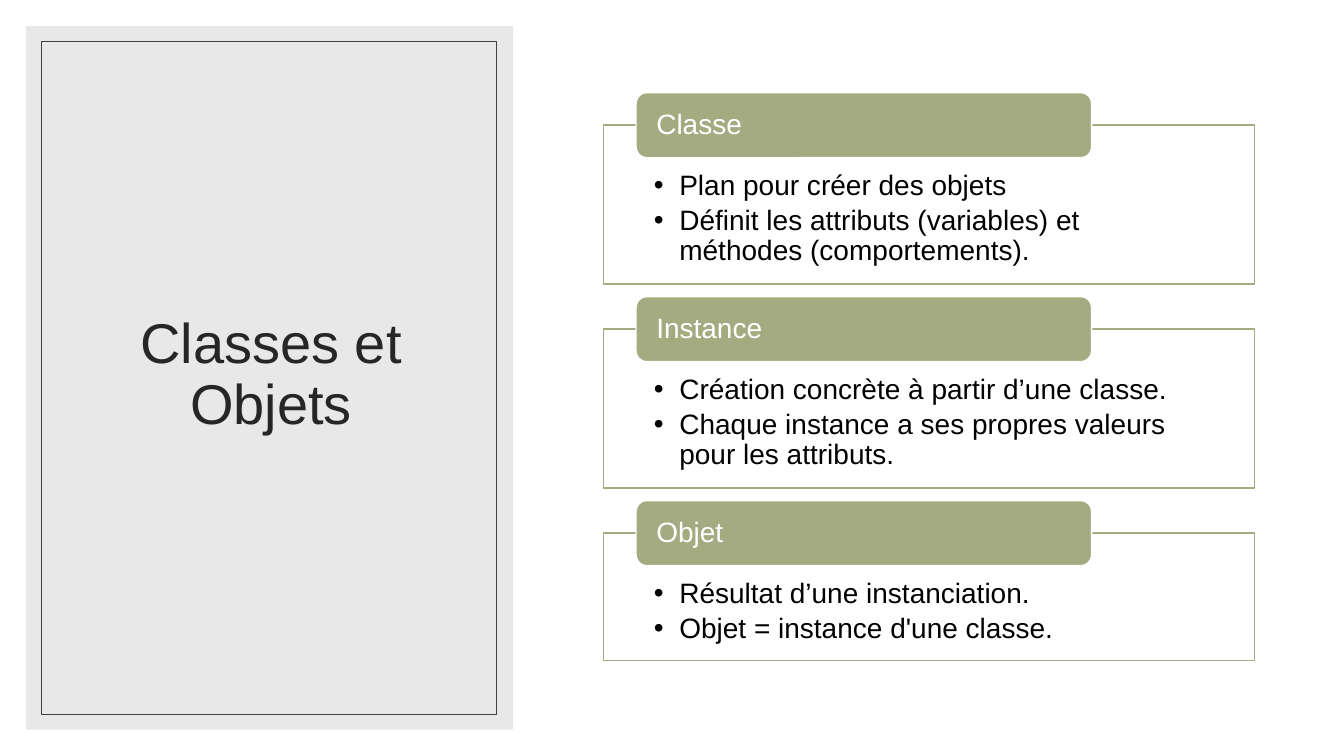
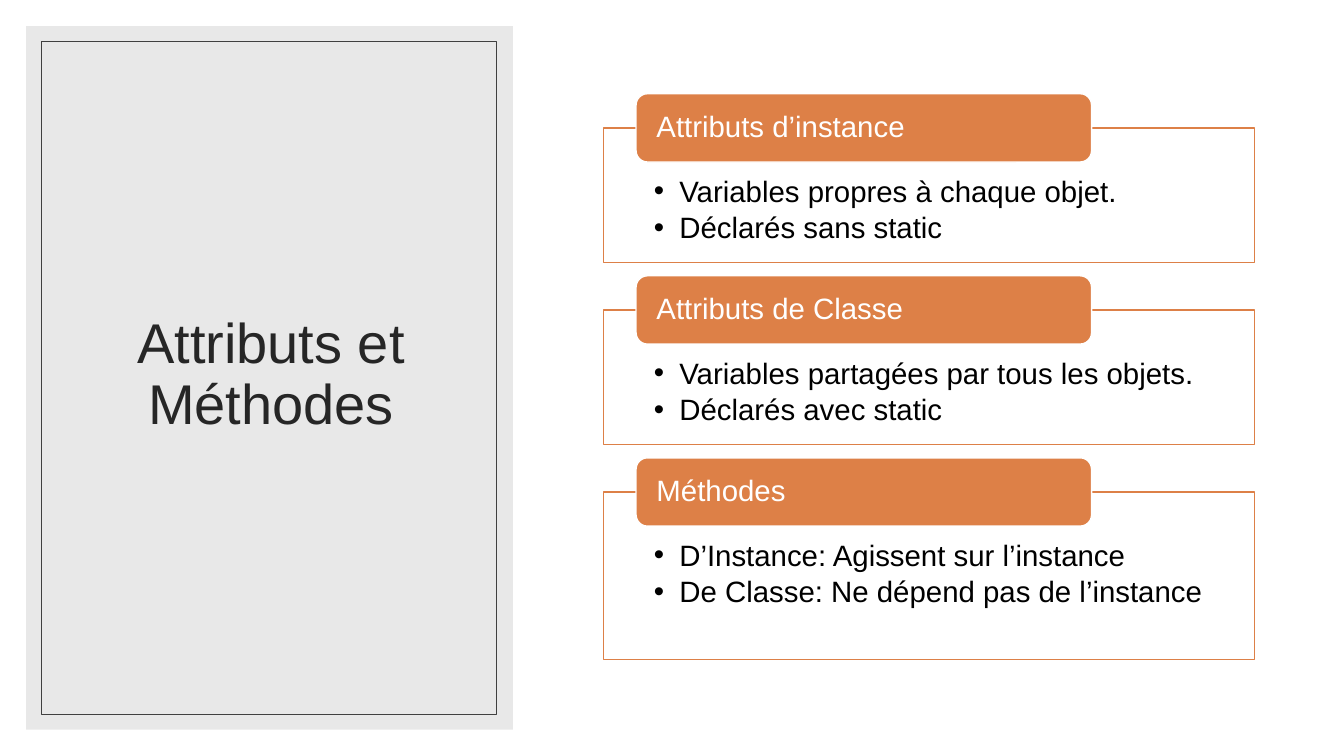
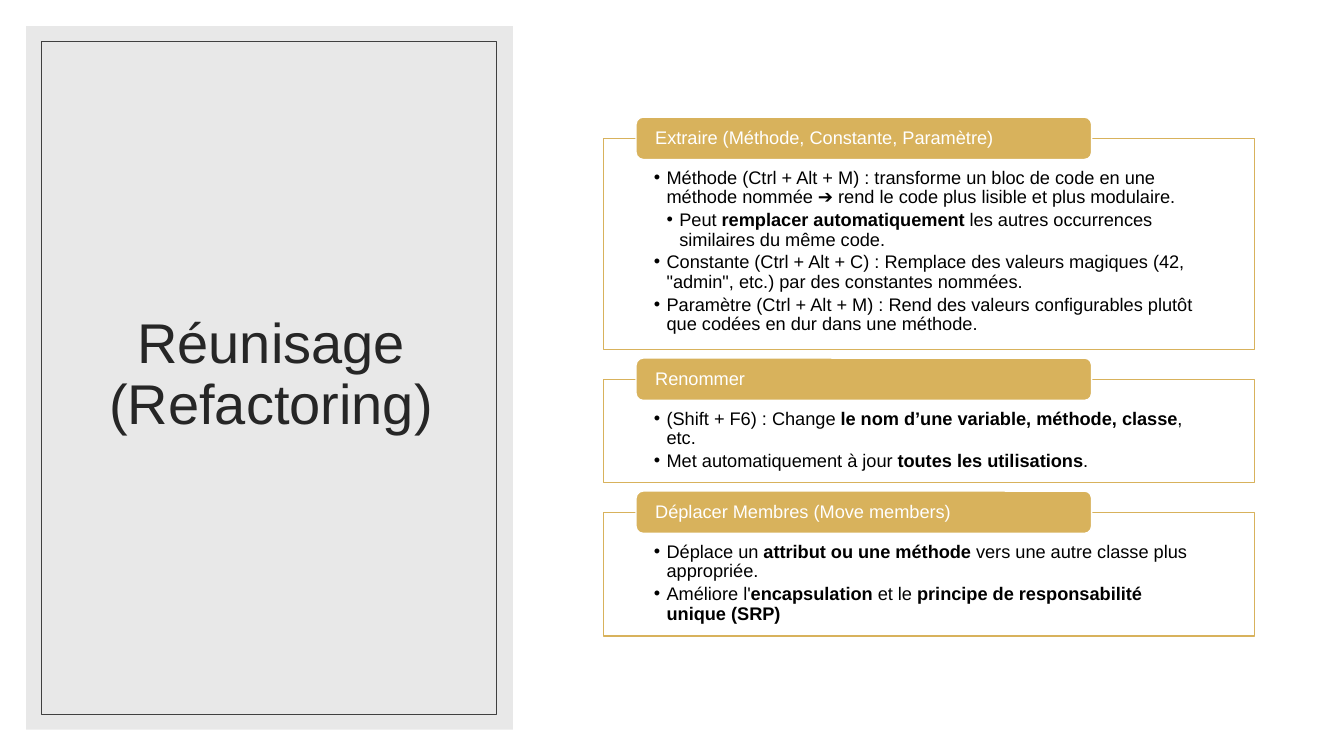
from collections import namedtuple

from lxml import etree
from pptx import Presentation
from pptx.dml.color import RGBColor
from pptx.enum.shapes import MSO_SHAPE
from pptx.enum.text import MSO_ANCHOR, PP_ALIGN
from pptx.oxml.ns import qn
from pptx.util import Cm, Pt

# Shared style
FONT = "Arial"
WHITE, BLACK = "FFFFFF", "000000"
PANEL_GREY, FRAME_GREY, TITLE_GREY = "D9D9D9", "404040", "262626"
GREEN, ORANGE, GOLD = "A5AB81", "DD8047", "D8B25C"

# Shared geometry, in centimetres
SLIDE_SIZE = 33.87, 19.05
PANEL = 0.66, 0.66, 12.27, 17.73
FRAME = 1.04, 1.04, 11.46, 16.97
TITLE = 1.6, 1.55, 10.46, 15.85
BOX_LEFT, BOX_WIDTH = 15.21, 16.41
TAB_LEFT, TAB_WIDTH = 16.03, 11.48
STACK_MIDDLE = 9.49

Bullet = namedtuple("Bullet", "text depth", defaults=[0])
Section = namedtuple("Section", "heading height bullets")
Topic = namedtuple("Topic", "title color size indent sections")

TOPICS = [
    Topic("Classes et Objets", GREEN, 20, 0.64, [
        Section("Classe", 4, [
            Bullet("Plan pour créer des objets"),
            Bullet("Définit les attributs (variables) et méthodes (comportements)."),
        ]),
        Section("Instance", 4, [
            Bullet("Création concrète à partir d’une classe."),
            Bullet("Chaque instance a ses propres valeurs pour les attributs."),
        ]),
        Section("Objet", 3.21, [
            Bullet("Résultat d’une instanciation."),
            Bullet("Objet = instance d'une classe."),
        ]),
    ]),
    Topic("Attributs et Méthodes", ORANGE, 21, 0.64, [
        Section("Attributs d’instance", 3.39, [
            Bullet("Variables propres à chaque objet."),
            Bullet("Déclarés sans static"),
        ]),
        Section("Attributs de Classe", 3.39, [
            Bullet("Variables partagées par tous les objets."),
            Bullet("Déclarés avec static"),
        ]),
        Section("Méthodes", 4.22, [
            Bullet("D’Instance: Agissent sur l’instance"),
            Bullet("De Classe: Ne dépend pas de l’instance"),
        ]),
    ]),
    Topic("Réunisage (Refactoring)", GOLD, 13, 0.32, [
        Section("Extraire (Méthode, Constante, Paramètre)", 5.33, [
            Bullet("Méthode (Ctrl + Alt + M) : transforme un bloc de code en une méthode "
                   "nommée ➔ rend le code plus lisible et plus modulaire."),
            Bullet("Peut **remplacer automatiquement** les autres occurrences "
                   "similaires du même code.", 1),
            Bullet("Constante (Ctrl + Alt + C) : Remplace des valeurs magiques "
                   "(42, \"admin\", etc.) par des constantes nommées."),
            Bullet("Paramètre (Ctrl + Alt + M) : Rend des valeurs configurables plutôt "
                   "que codées en dur dans une méthode."),
        ]),
        Section("Renommer", 2.61, [
            Bullet("(Shift + F6) : Change **le nom d’une variable, méthode, classe**, etc."),
            Bullet("Met automatiquement à jour **toutes les utilisations**."),
        ]),
        Section("Déplacer Membres (Move members)", 3.12, [
            Bullet("Déplace un **attribut ou une méthode** vers une autre classe "
                   "plus appropriée."),
            Bullet("Améliore l'**encapsulation** et le "
                   "**principe de responsabilité unique (SRP)**"),
        ]),
    ]),
]


def rgb(color):
    return RGBColor.from_string(color)


def add_box(slide, preset, place, fill=None, opacity=100, line=None, width=1):
    box = slide.shapes.add_shape(preset, *map(Cm, place))
    box.shadow.inherit = False
    if fill:
        box.fill.solid()
        box.fill.fore_color.rgb = rgb(fill)
        if opacity < 100:
            tint = box.fill._xPr.find(".//" + qn("a:srgbClr"))
            etree.SubElement(tint, qn("a:alpha"), val=str(opacity * 1000))
    else:
        box.fill.background()
    if line:
        box.line.color.rgb = rgb(line)
        box.line.width = Pt(width)
    else:
        box.line.fill.background()
    return box


def add_bullet(paragraph, depth, indent):
    properties = paragraph._p.get_or_add_pPr()
    properties.set("marL", str(Cm(indent * (depth + 1))))
    properties.set("indent", str(-Cm(indent)))
    etree.SubElement(properties, qn("a:buFont"), typeface=FONT)
    etree.SubElement(properties, qn("a:buChar"), char="•")


def write_text(shape, bullets, *, size, color, align=PP_ALIGN.LEFT,
               anchor=MSO_ANCHOR.MIDDLE, insets=(0.25, 0.13, 0.25, 0.13),
               indent=0, gap=0):
    """Text between double asterisks is bold; a non-zero indent adds bullets."""
    frame = shape.text_frame
    frame.word_wrap = True
    frame.vertical_anchor = anchor
    (frame.margin_left, frame.margin_top,
     frame.margin_right, frame.margin_bottom) = map(Cm, insets)
    for index, bullet in enumerate(bullets):
        paragraph = frame.add_paragraph() if index else frame.paragraphs[0]
        if indent:
            add_bullet(paragraph, bullet.depth, indent)
        paragraph.alignment = align
        paragraph.line_spacing = 0.9
        paragraph.space_before = Pt(0)
        paragraph.space_after = Pt(gap)
        for part, words in enumerate(bullet.text.split("**")):
            if words:
                run = paragraph.add_run()
                run.text = words
                run.font.name = FONT
                run.font.size = Pt(size)
                run.font.bold = part % 2 == 1
                run.font.color.rgb = rgb(color)


def add_title_panel(slide, text):
    title = slide.shapes.title
    title.left, title.top, title.width, title.height = map(Cm, TITLE)
    write_text(title, [Bullet(text)], size=40, color=TITLE_GREY, align=PP_ALIGN.CENTER)
    panel = add_box(slide, MSO_SHAPE.RECTANGLE, PANEL, fill=PANEL_GREY, opacity=60)
    title._element.addprevious(panel._element)  # panel lies behind the title
    add_box(slide, MSO_SHAPE.RECTANGLE, FRAME, line=FRAME_GREY, width=0.5)


def add_section(slide, topic, section, top, tab_height):
    size = topic.size
    box = add_box(slide, MSO_SHAPE.RECTANGLE,
                  (BOX_LEFT, top + tab_height / 2, BOX_WIDTH, section.height),
                  fill=WHITE, opacity=90, line=topic.color)
    write_text(box, section.bullets, size=size, color=BLACK, anchor=MSO_ANCHOR.TOP,
               insets=(1.27, 0.0585 * size, 1.27, 0.02 * size),
               indent=topic.indent, gap=0.16 * size)
    tab = add_box(slide, MSO_SHAPE.ROUNDED_RECTANGLE,
                  (TAB_LEFT, top, TAB_WIDTH, tab_height), fill=topic.color, line=WHITE)
    write_text(tab, [Bullet(section.heading)], size=size, color=WHITE,
               insets=(0.43, 0, 0.43, 0))


def add_sections(slide, topic):
    # Tabs and gaps grow with the text size; the stack is centred vertically
    tab_height = 0.082 * topic.size
    gap = 0.016 * topic.size
    steps = [tab_height / 2 + section.height + gap for section in topic.sections]
    top = STACK_MIDDLE - (sum(steps) - gap) / 2
    for section, step in zip(topic.sections, steps):
        add_section(slide, topic, section, top, tab_height)
        top += step


def main():
    deck = Presentation()
    deck.slide_width, deck.slide_height = map(Cm, SLIDE_SIZE)
    title_only = deck.slide_layouts[5]
    for topic in TOPICS:
        slide = deck.slides.add_slide(title_only)
        slide.background.fill.solid()
        slide.background.fill.fore_color.rgb = rgb(WHITE)
        add_title_panel(slide, topic.title)
        add_sections(slide, topic)
    deck.save("out.pptx")


if __name__ == "__main__":
    main()
